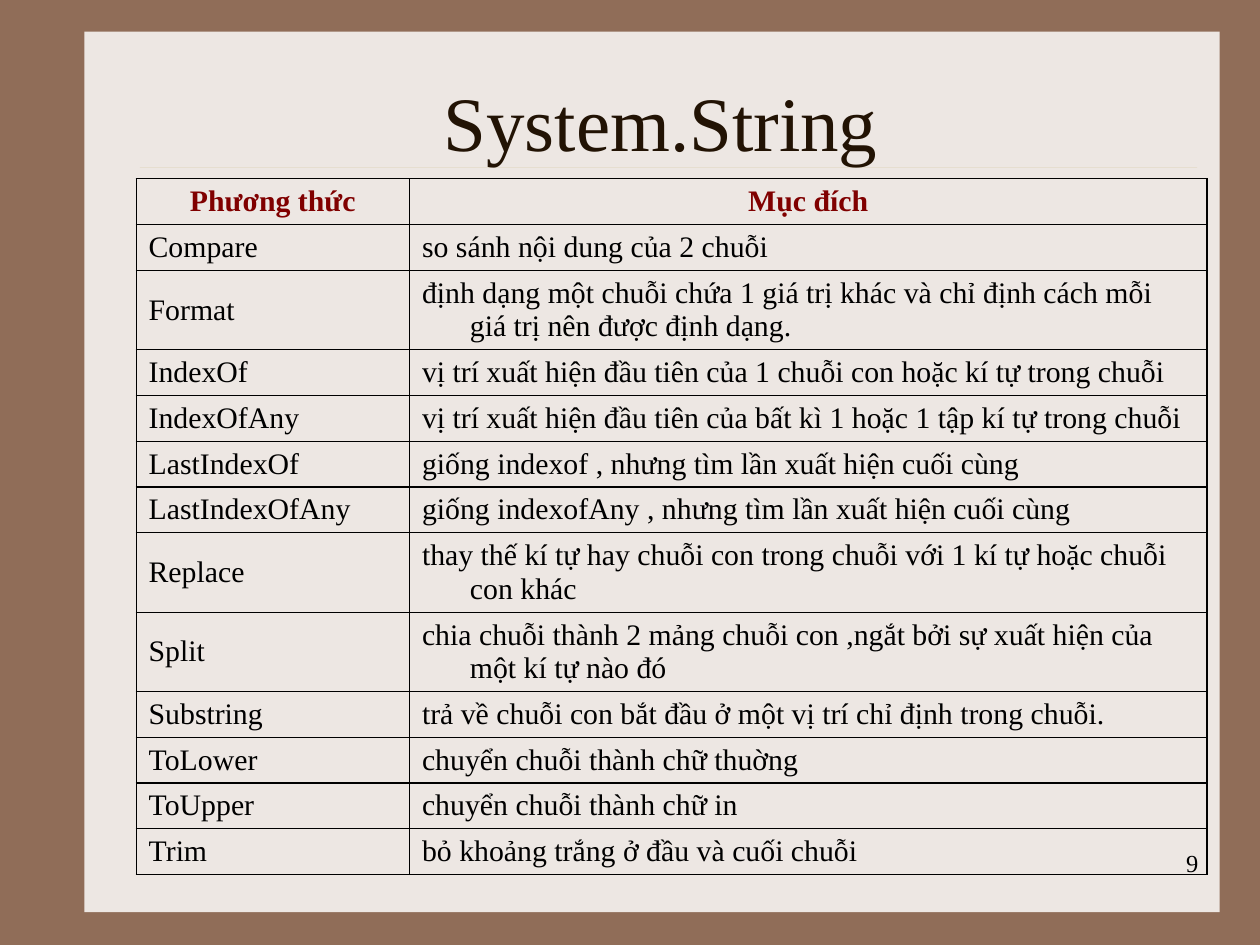
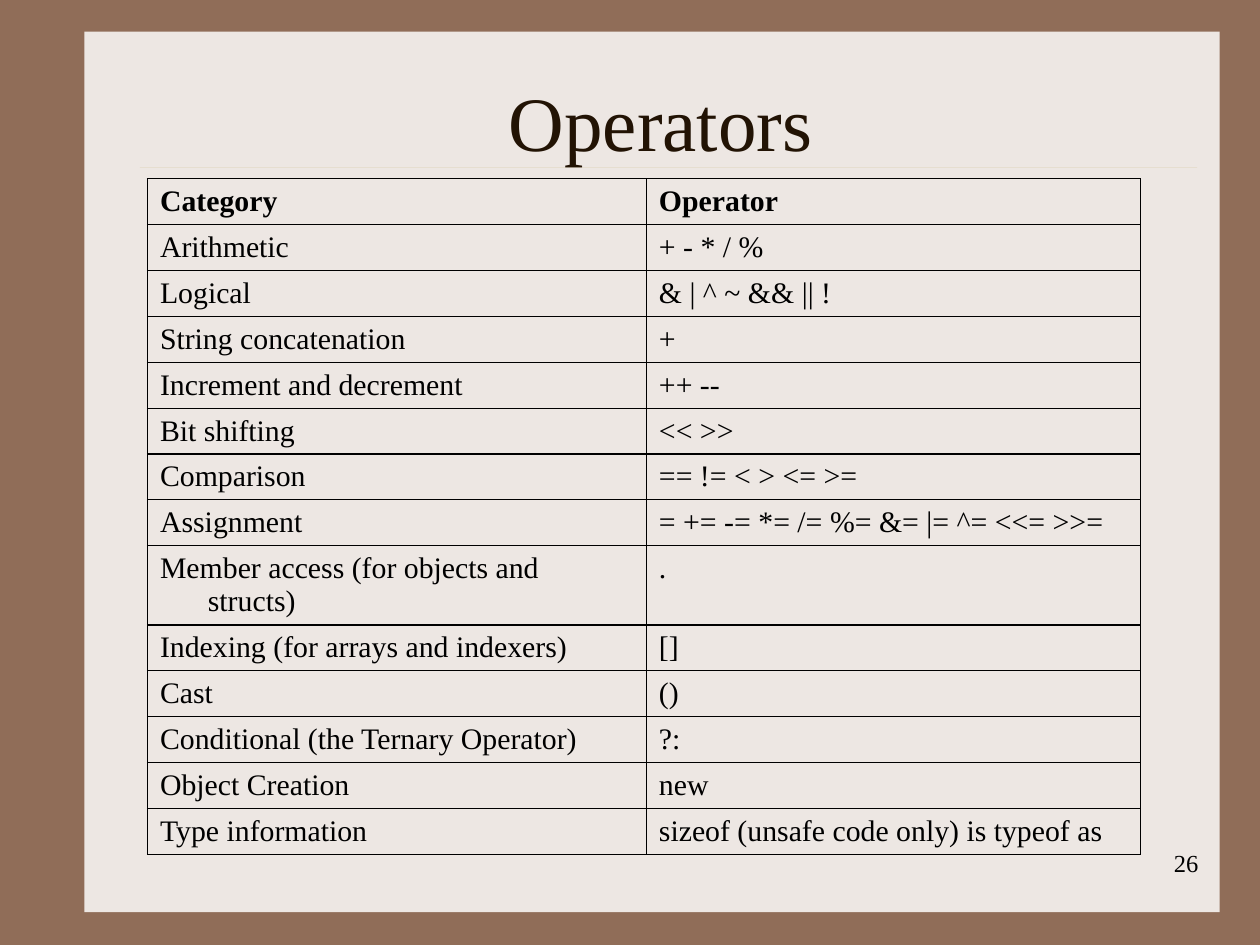
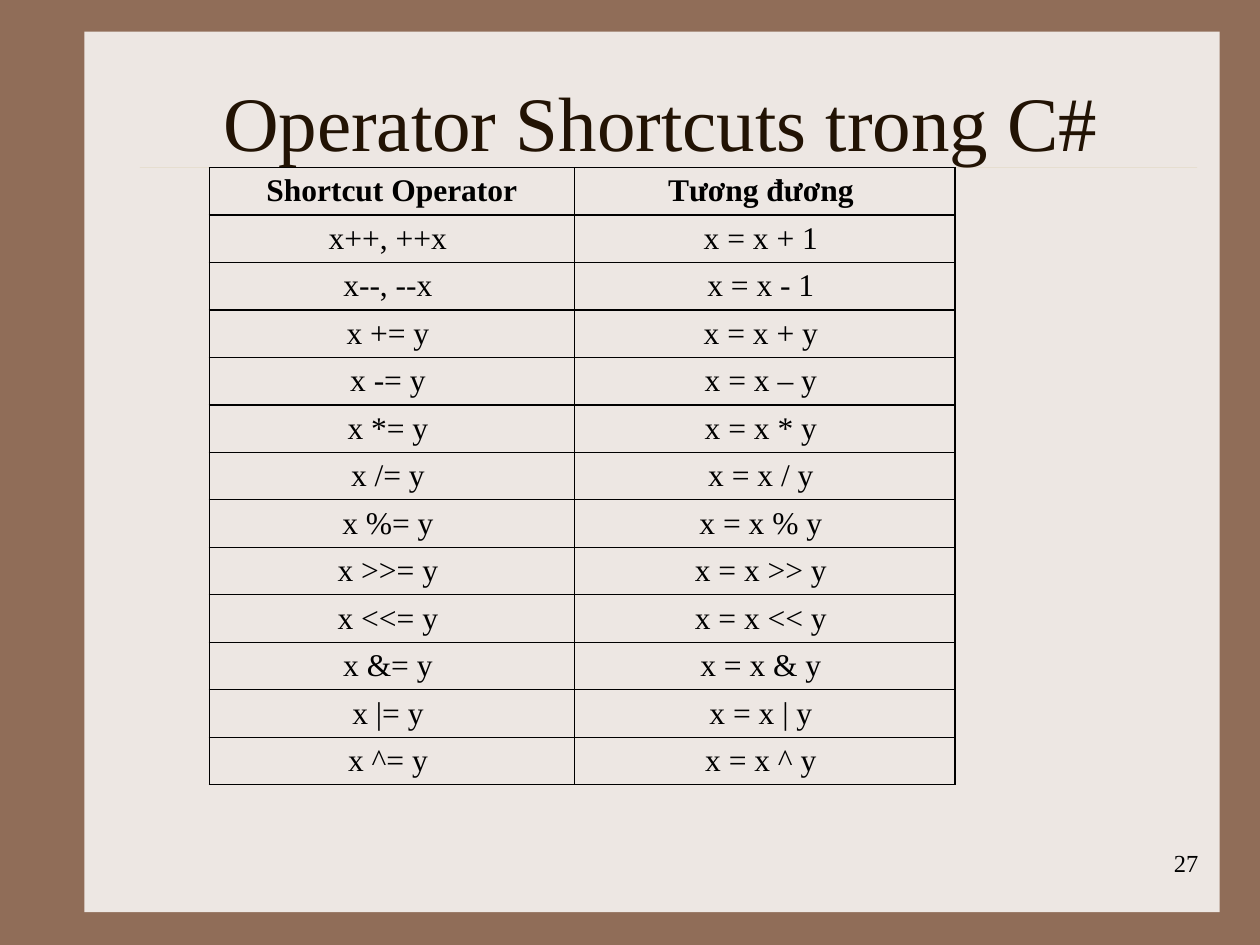
from lxml import etree
from pptx import Presentation
from pptx.dml.color import RGBColor
from pptx.enum.shapes import MSO_CONNECTOR, MSO_SHAPE
from pptx.enum.text import MSO_ANCHOR as ANCHOR, PP_ALIGN as ALIGN
from pptx.oxml.ns import qn
from pptx.util import Inches, Pt

FONT = "Times New Roman"
COLORS = {"frame": "906D58", "paper": "EDE7E3", "rule": "CBBD83",
          "title": "221304", "text": "000000", "heading": "800000"}
HANGING = 0.38
TALL_ROW = 0.63
# Top and bottom cell margins
MARGINS = {ANCHOR.MIDDLE: (0.03, 0.03), ANCHOR.TOP: (0.05, 0.01)}

# Content: the first row of each table is its header
SLIDES = [
    {"title": "System.String", "number": 9, "at": (1.08, 1.42),
     "cols": (2.17, 6.33), "height": 5.52, "tall": (2, 7, 8),
     "size": 17, "head_color": "heading", "head_align": ALIGN.CENTER,
     "align": ALIGN.LEFT, "anchor": ANCHOR.MIDDLE,
     "rows": [
         ("Phương thức", "Mục đích"),
         ("Compare", "so sánh nội dung của 2 chuỗi"),
         ("Format", "định dạng một chuỗi chứa 1 giá trị khác và chỉ định "
                    "cách mỗi giá trị nên được định dạng."),
         ("IndexOf", "vị trí xuất hiện đầu tiên của 1 chuỗi con hoặc kí tự trong chuỗi"),
         ("IndexOfAny", "vị trí xuất hiện đầu tiên của bất kì 1 hoặc 1 tập kí tự trong chuỗi"),
         ("LastIndexOf", "giống indexof , nhưng tìm lần xuất hiện cuối cùng"),
         ("LastIndexOfAny", "giống indexofAny , nhưng tìm lần xuất hiện cuối cùng"),
         ("Replace", "thay thế kí tự hay chuỗi con trong chuỗi với 1 kí tự "
                     "hoặc chuỗi con khác"),
         ("Split", "chia chuỗi thành 2 mảng chuỗi con ,ngắt bởi sự xuất hiện "
                   "của một kí tự nào đó"),
         ("Substring", "trả về chuỗi con bắt đầu ở một vị trí chỉ định trong chuỗi."),
         ("ToLower", "chuyển chuỗi thành chữ thuờng"),
         ("ToUpper", "chuyển chuỗi thành chữ in"),
         ("Trim", "bỏ khoảng trắng ở đầu và cuối chuỗi"),
     ]},
    {"title": "Operators", "number": 26, "at": (1.17, 1.42),
     "cols": (3.96, 3.92), "height": 5.36, "tall": (8,),
     "size": 17, "head_color": "text", "head_align": ALIGN.LEFT,
     "align": ALIGN.LEFT, "anchor": ANCHOR.TOP,
     "rows": [
         ("Category", "Operator"),
         ("Arithmetic", "+ - * / %"),
         ("Logical", "& | ^ ~ && || !"),
         ("String concatenation", "+"),
         ("Increment and decrement", "++ --"),
         ("Bit shifting", "<< >>"),
         ("Comparison", "== != < > <= >="),
         ("Assignment", "= += -= *= /= %= &= |= ^= <<= >>="),
         ("Member access (for objects and structs)", "."),
         ("Indexing (for arrays and indexers)", "[]"),
         ("Cast", "()"),
         ("Conditional (the Ternary Operator)", "?:"),
         ("Object Creation", "new"),
         ("Type information", "sizeof (unsafe code only) is typeof as"),
     ]},
    {"title": "Operator Shortcuts trong C#", "number": 27, "at": (1.66, 1.33),
     "cols": (2.9, 3.02), "height": 4.9, "tall": (),
     "size": 18, "head_color": "text", "head_align": ALIGN.CENTER,
     "align": ALIGN.CENTER, "anchor": ANCHOR.TOP,
     "rows": [
         ("Shortcut Operator", "Tương đương "),
         ("x++, ++x ", "x = x + 1 "),
         ("x--, --x ", "x = x - 1 "),
         ("x += y ", "x = x + y "),
         ("x -= y ", "x = x – y "),
         ("x *= y ", "x = x * y "),
         ("x /= y ", "x = x / y "),
         ("x %= y ", "x = x % y "),
         ("x >>= y ", "x = x >> y "),
         ("x <<= y ", "x = x << y "),
         ("x &= y ", "x = x & y "),
         ("x |= y ", "x = x | y "),
         ("x ^= y ", "x = x ^ y "),
     ]},
]


def rgb(name):
    return RGBColor.from_string(COLORS[name])


def write(tf, text, size, color, align, bold=False):
    p = tf.paragraphs[0]
    p.text = text
    p.alignment = align
    p.font.name, p.font.size, p.font.bold = FONT, Pt(size), bold
    p.font.color.rgb = rgb(color)
    return p


def add_text(s, box, text, size, color, align, anchor):
    tf = s.shapes.add_textbox(*map(Inches, box)).text_frame
    tf.word_wrap = True
    tf.vertical_anchor = anchor
    write(tf, text, size, color, align)


def add_backdrop(s):
    s.background.fill.solid()
    s.background.fill.fore_color.rgb = rgb("frame")
    paper = s.shapes.add_shape(MSO_SHAPE.RECTANGLE,
                               *map(Inches, (0.67, 0.25, 9.01, 6.99)))
    paper.shadow.inherit = False
    paper.fill.solid()
    paper.fill.fore_color.rgb = rgb("paper")
    paper.line.fill.background()
    rule = s.shapes.add_connector(MSO_CONNECTOR.STRAIGHT,
                                  *map(Inches, (1.11, 1.33, 9.5, 1.33)))
    rule.line.color.rgb = rgb("rule")
    rule.line.width = Pt(0.25)
    sp_pr = rule._element.spPr
    # Let the paper show through the rule
    etree.SubElement(sp_pr.find(".//" + qn("a:srgbClr")), qn("a:alpha"), val="30000")
    etree.SubElement(sp_pr, qn("a:effectLst"))


def add_borders(cell):
    tc_pr = cell._tc.get_or_add_tcPr()
    for side in ("lnL", "lnR", "lnT", "lnB"):
        ln = etree.SubElement(tc_pr, qn("a:" + side), w=str(Pt(0.75)))
        fill = etree.SubElement(ln, qn("a:solidFill"))
        etree.SubElement(fill, qn("a:srgbClr"), val=COLORS["text"])


def add_grid(s, d):
    n, tall = len(d["rows"]), d["tall"]
    single = (d["height"] - TALL_ROW * len(tall)) / (n - len(tall))
    size = (sum(d["cols"]), d["height"])
    table = s.shapes.add_table(n, len(d["cols"]),
                               *map(Inches, d["at"] + size)).table
    table.first_row = table.horz_banding = False
    for column, width in zip(table.columns, d["cols"]):
        column.width = Inches(width)
    top, bottom = MARGINS[d["anchor"]]
    for i, texts in enumerate(d["rows"]):
        table.rows[i].height = Inches(TALL_ROW if i in tall else single)
        head = i == 0
        for j, text in enumerate(texts):
            cell = table.cell(i, j)
            add_borders(cell)
            cell.fill.background()
            cell.vertical_anchor = d["anchor"]
            cell.margin_top, cell.margin_bottom = Inches(top), Inches(bottom)
            p = write(cell.text_frame, text, d["size"],
                      d["head_color"] if head else "text",
                      d["head_align"] if head else d["align"], head)
            p_pr = p._p.get_or_add_pPr()
            p_pr.set("marL", str(Inches(HANGING)))
            p_pr.set("indent", str(-Inches(HANGING)))


prs = Presentation()
prs.slide_width, prs.slide_height = Inches(10), Inches(7.5)
for d in SLIDES:
    s = prs.slides.add_slide(prs.slide_layouts[6])
    add_backdrop(s)
    add_text(s, (7.53, 6.68, 2.08, 0.5), str(d["number"]), 14, "text",
             ALIGN.RIGHT, ANCHOR.TOP)
    add_text(s, (1.08, 0.58, 8.33, 0.75), d["title"], 44, "title",
             ALIGN.CENTER, ANCHOR.MIDDLE)
    add_grid(s, d)
prs.save("out.pptx")
